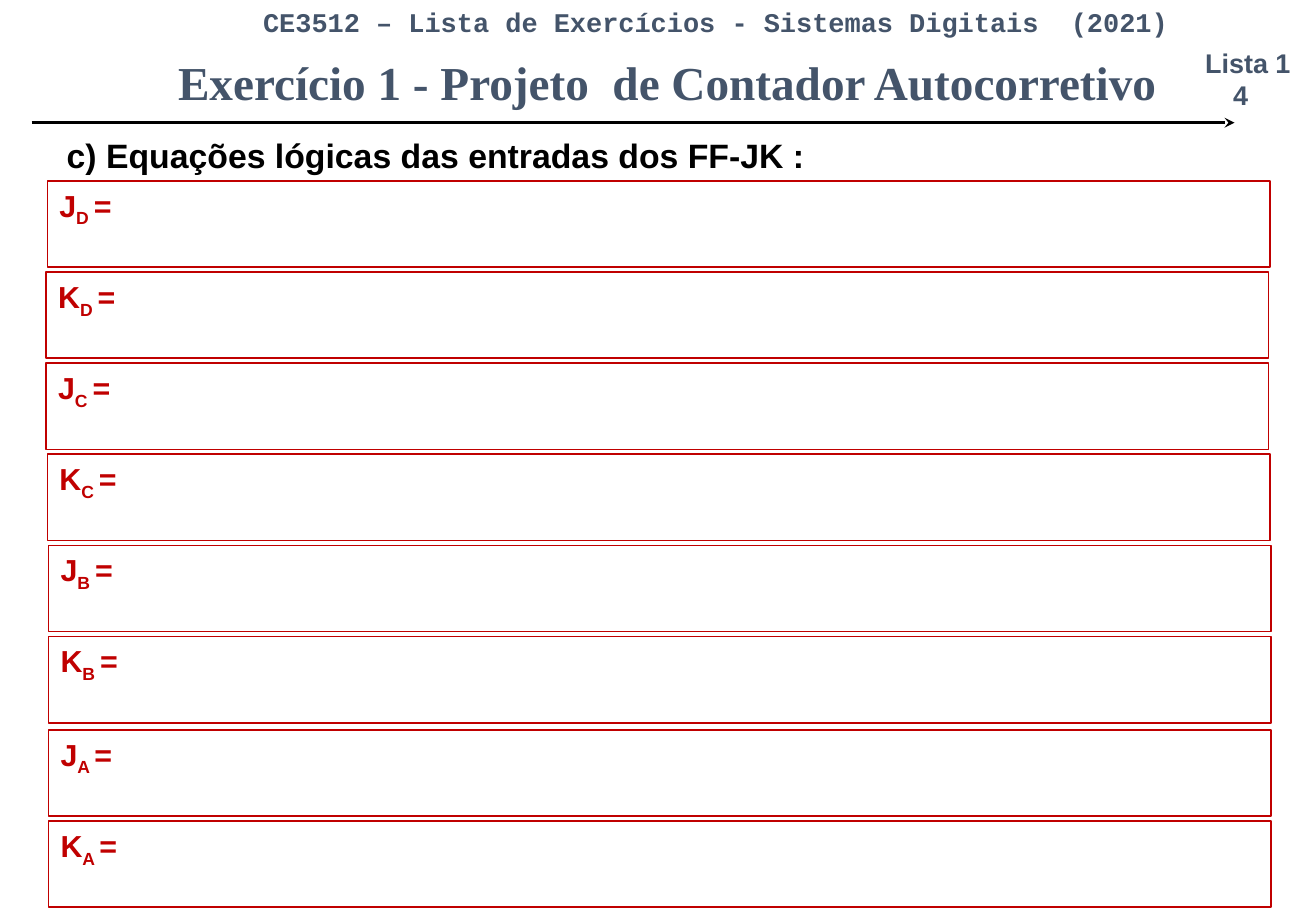
from dataclasses import dataclass
from itertools import product

from lxml import etree
from pptx import Presentation
from pptx import util as u
from pptx.dml.color import RGBColor
from pptx.enum import shapes, text
from pptx.oxml import ns


@dataclass(frozen=True)
class Theme:
    slate: str = "44546A"
    black: str = "000000"
    red: str = "C00000"
    sans: str = "Arial"
    mono: str = "Courier New"
    serif: str = "Times New Roman"
    small: int = 16
    label: int = 18
    subtitle: int = 20
    title: int = 28


theme = Theme()
ALIGN = text.PP_ALIGN
ANCHOR = text.MSO_ANCHOR


def place(box, left, top, width, height):
    frame = {"left": left, "top": top, "width": width, "height": height}
    for name, inches in frame.items():
        setattr(box, name, u.Inches(inches))


def write(box, lines, font, size, color, align, anchor=ANCHOR.TOP, side=0.1):
    frame = box.text_frame
    layout = {
        "word_wrap": True, "auto_size": text.MSO_AUTO_SIZE.NONE,
        "vertical_anchor": anchor,
        "margin_left": u.Inches(side), "margin_right": u.Inches(side),
        "margin_top": u.Inches(0.05), "margin_bottom": u.Inches(0.05),
    }
    for name, value in layout.items():
        setattr(frame, name, value)
    for index, line in enumerate(lines):
        para = frame.add_paragraph() if index else frame.paragraphs[0]
        para.alignment = align
        for words, baseline in line:
            span = para.add_run()
            span.text = words
            style = {"name": font, "size": u.Pt(size), "bold": True}
            for name, value in style.items():
                setattr(span.font, name, value)
            span.font.color.rgb = RGBColor.from_string(color)
            if baseline:
                span.font._element.set("baseline", str(baseline))
    return frame


deck = Presentation()
deck.slide_width, deck.slide_height = u.Inches(10.83), u.Inches(7.5)
page = deck.slides.add_slide(deck.slide_layouts[5])

rule_y = u.Inches(1.01)
rule = page.shapes.add_connector(
    shapes.MSO_CONNECTOR.STRAIGHT, u.Inches(0.26), rule_y, u.Inches(10.16), rule_y)
rule.line.width = u.Pt(2)
rule.line.color.rgb = RGBColor.from_string(theme.black)
etree.SubElement(rule.line._get_or_add_ln(), ns.qn("a:tailEnd"), type="stealth")
etree.SubElement(rule._element.spPr, ns.qn("a:effectLst"))

header = page.shapes.add_textbox(0, 0, 0, 0)
place(header, 1.16, 0, 9.46, 0.37)
write(header, [[("CE3512 – Lista de Exercícios - Sistemas Digitais  (2021)", 0)]],
      theme.mono, theme.small, theme.slate, ALIGN.CENTER)

list_number = page.shapes.add_textbox(0, 0, 0, 0)
place(list_number, 9.77, 0.33, 1, 0.64)
number_frame = write(list_number, [[("Lista 1", 0)], [("4", 0)]], theme.sans,
                     theme.small, theme.slate, ALIGN.CENTER, ANCHOR.MIDDLE, 0)
number_frame.paragraphs[1]._p.get_or_add_pPr().set("marR", str(u.Inches(0.12)))

title = page.shapes.title
place(title, 1.2, 0.4, 8.58, 0.61)
title_frame = write(title, [[("Exercício 1 - Projeto  de Contador Autocorretivo", 0)]],
                    theme.serif, theme.title, theme.slate, ALIGN.CENTER, ANCHOR.MIDDLE)
title_para = title_frame.paragraphs[0]
title_para.line_spacing = 0.88
title_fill = title_para.runs[0].font._element.find(ns.qn("a:solidFill"))
effects = etree.Element(ns.qn("a:effectLst"))
shadow = etree.SubElement(effects, ns.qn("a:outerShdw"),
                          dist=str(u.Pt(2.8)), dir="2700000", algn="ctr")
etree.SubElement(shadow, ns.qn("a:srgbClr"), val=theme.black)
title_fill.addnext(effects)

subtitle = page.shapes.add_textbox(0, 0, 0, 0)
place(subtitle, 0.45, 1.06, 10.23, 0.44)
write(subtitle, [[("c) Equações lógicas das entradas dos FF-JK :", 0)]],
      theme.sans, theme.subtitle, theme.black, ALIGN.JUSTIFY)

row_lefts = [0.39, 0.38, 0.38, 0.39, 0.4, 0.4, 0.4, 0.4]
for row, (flip_flop, entry) in enumerate(product("DCBA", "JK")):
    answer = page.shapes.add_shape(shapes.MSO_SHAPE.RECTANGLE, 0, 0, 0, 0)
    last_pair_gap = 0.02 if flip_flop == "A" else 0
    place(answer, row_lefts[row], 1.49 + 0.75 * row + last_pair_gap, 10.06, 0.71)
    answer.shadow.inherit = False
    answer.fill.background()
    answer.line.width = u.Pt(1)
    answer.line.color.rgb = RGBColor.from_string(theme.red)
    write(answer, [[(entry, 0), (f"{flip_flop} ", -25000), ("=", 0)]],
          theme.sans, theme.label, theme.red, ALIGN.JUSTIFY)

deck.save("out.pptx")
